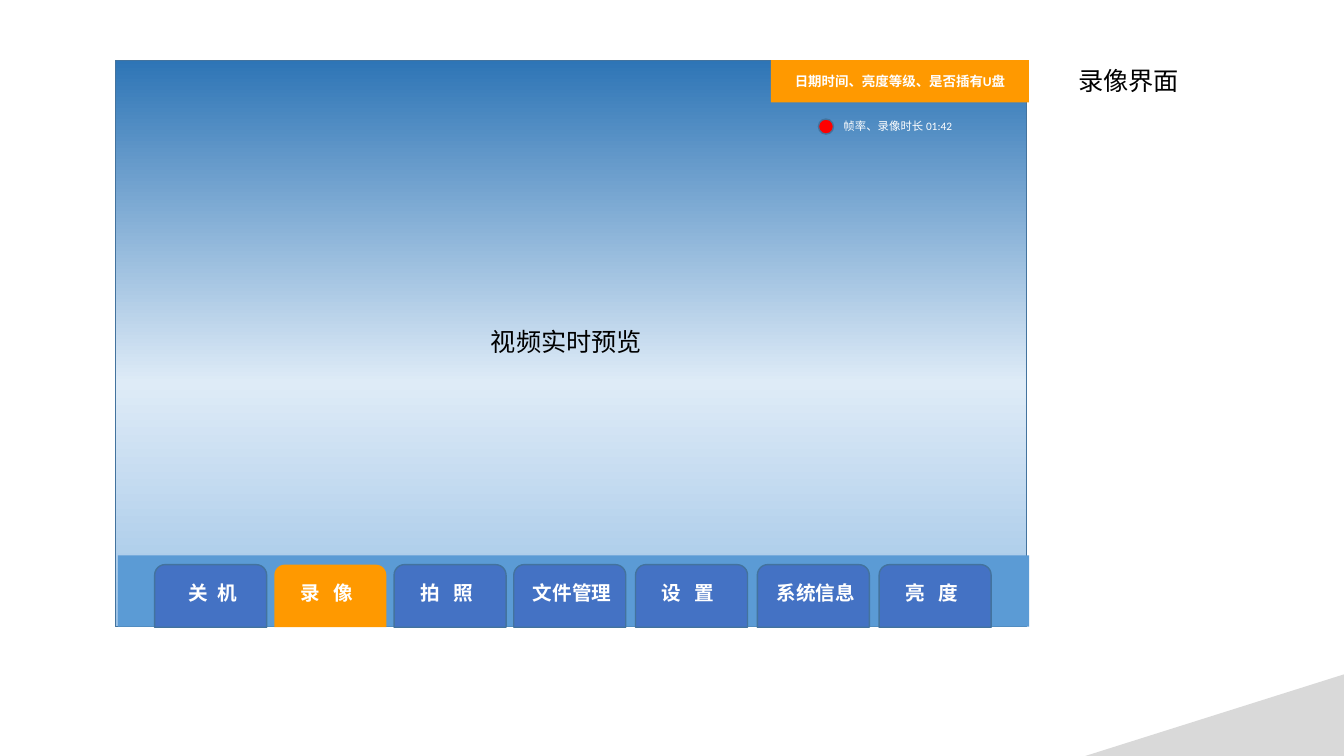
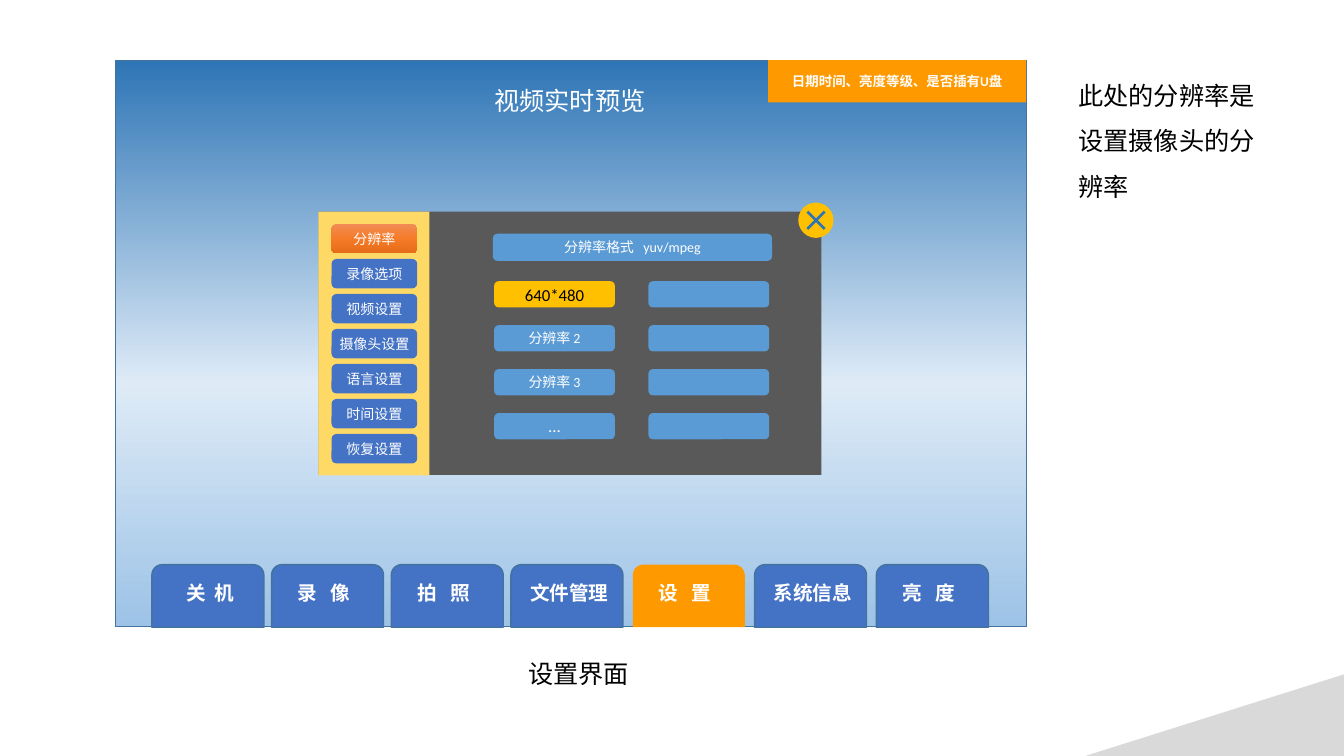
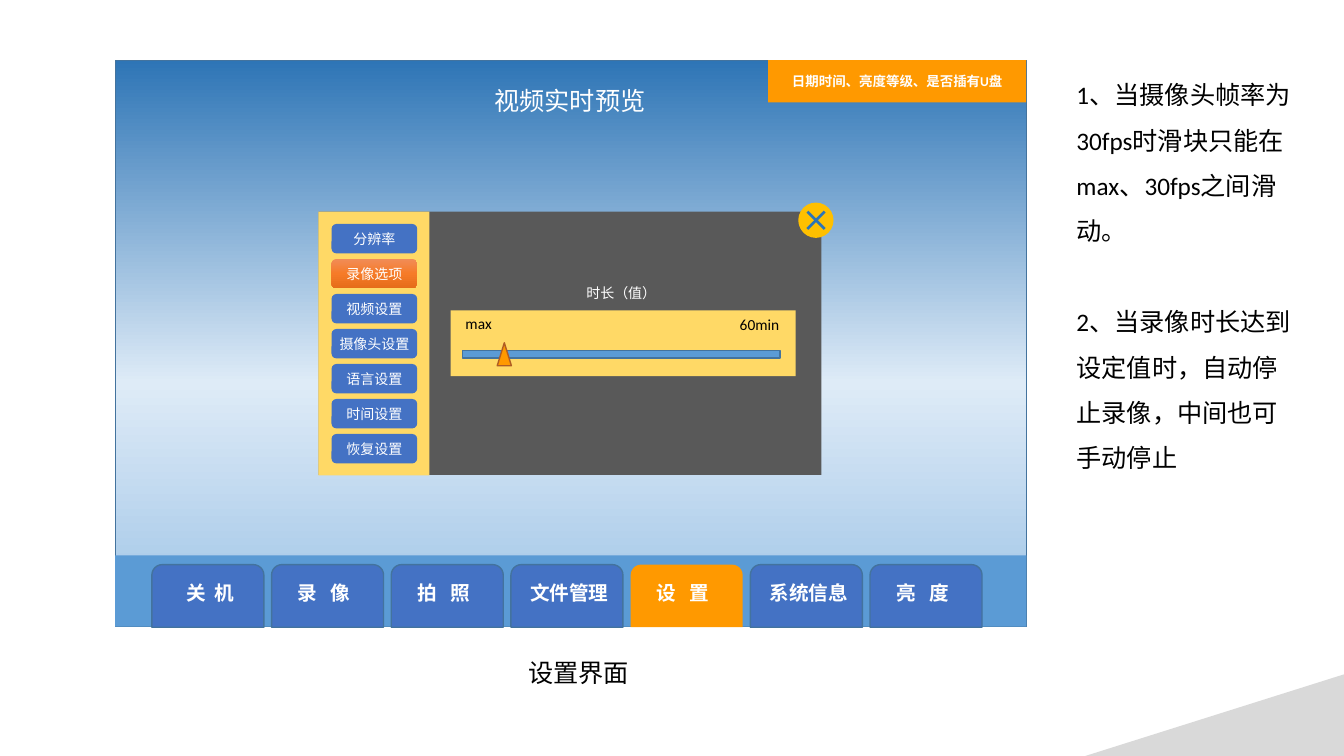
from copy import deepcopy

from pptx import Presentation
from pptx.dml.color import RGBColor
from pptx.enum import shapes, text
from pptx.oxml.ns import qn
from pptx.util import Pt

WHITE = RGBColor(0xFF, 0xFF, 0xFF)
BLACK = RGBColor(0, 0, 0)
RED = RGBColor(0xFF, 0, 0)
BAR_BLUE = RGBColor(0x5B, 0x9B, 0xD5)
TAB_BLUE = RGBColor(0x44, 0x72, 0xC4)
EDGE_BLUE = RGBColor(0x43, 0x73, 0x9E)
DEEP_BLUE = RGBColor(0x2E, 0x75, 0xB6)
ORANGE = RGBColor(0xFF, 0x99, 0x00)
BROWN = RGBColor(0xAF, 0x5C, 0x24)
GOLD = RGBColor(0xFF, 0xC0, 0x00)
PALE_GOLD = RGBColor(0xFF, 0xD9, 0x66)
DARK_GREY = RGBColor(0x59, 0x59, 0x59)
LIGHT_GREY = RGBColor(0xD9, 0xD9, 0xD9)
SKY = [(0, DEEP_BLUE), (0.57, RGBColor(0xDE, 0xEB, 0xF7)),
       (1, RGBColor(0x9D, 0xC3, 0xE6))]
GLOW = [(0, RGBColor(0xF1, 0x8C, 0x57)), (0.5, RGBColor(0xF6, 0x7B, 0x28)),
        (1, RGBColor(0xE5, 0x6C, 0x19))]

KIND = shapes.MSO_SHAPE
LEFT, CENTER = text.PP_ALIGN.LEFT, text.PP_ALIGN.CENTER


def place(parent, kind, box, fill, line=None):
    """Add a preset shape; fill is a colour or a list of three gradient stops."""
    shape = parent.add_shape(kind, *map(Pt, box))
    shape.shadow.inherit = False
    if isinstance(fill, list):
        shape.fill.gradient()
        shape.fill.gradient_angle = 270
        stop_list = shape._element.spPr.find(".//" + qn("a:gsLst"))
        stop_list.insert(1, deepcopy(stop_list[0]))
        for stop, (position, color) in zip(shape.fill.gradient_stops, fill):
            stop.position = position
            stop.color.rgb = color
    else:
        shape.fill.solid()
        shape.fill.fore_color.rgb = fill
    if line is None:
        shape.line.fill.background()
    else:
        shape.line.color.rgb = line
        shape.line.width = Pt(1)
    frame = shape.text_frame
    frame.margin_left = frame.margin_right = 0
    frame.margin_top = frame.margin_bottom = 0
    frame.vertical_anchor = text.MSO_ANCHOR.MIDDLE
    return shape


def write(shape, words, size, color, align=LEFT, bold=False, gap=0):
    """Write one paragraph; gap widens its first space by that many points."""
    frame = shape.text_frame
    frame.word_wrap = True
    paragraph = frame.paragraphs[0]
    if paragraph.runs:
        paragraph = frame.add_paragraph()
    paragraph.alignment = align
    for part in words.partition(" ") if gap else [words]:
        run = paragraph.add_run()
        run.text = part
        run.font.name = "Calibri"
        run.font.size = Pt(size)
        run.font.bold = bold
        run.font.color.rgb = color
        properties = run._r.get_or_add_rPr()
        properties.set("lang", "zh-CN")
        if gap and part == " ":
            properties.set("spc", str(round(gap * 100)))
    return paragraph


# Tab label, its inset from the tab's left edge, its widened space
TABS = [("关 机", 17.3, 3.2), ("录 像", 11.6, 6.3), ("拍 照", 11.6, 6.3),
        ("文件管理", 6.5, 0), ("设 置", 11.6, 6.3), ("系统信息", 6.5, 0),
        ("亮 度", 11.6, 6.3)]
TAB_WIDTH = 80
MENU = ["分辨率", "录像选项", "视频设置", "摄像头设置", "语言设置", "时间设置", "恢复设置"]

# Title and its place, preview place and colour, shift of the tabs,
# extra pitch of the later tabs, active tab, bottom bar, active menu entry
SCREENS = [
    ("录像界面", (763, 43), (343.5, 229.7), BLACK, 2, 1.5, "录 像", True, None),
    ("设置界面", (370, 466.5), (346, 57.6), WHITE, 0, 1.5, "设 置", False, "分辨率"),
    ("设置界面", (370, 466), (346, 57.6), WHITE, 0, 0, "设 置", True, "录像选项"),
]

deck = Presentation()
deck.slide_width, deck.slide_height = Pt(960), Pt(540)
slides = []

for (title, title_at, preview_at, preview_color, shift, late_pitch,
     active_tab, has_bar, active_entry) in SCREENS:
    slide = deck.slides.add_slide(deck.slide_layouts[5])
    slides.append(slide)
    canvas = slide.shapes

    heading = canvas.title
    heading.left, heading.top = map(Pt, title_at)
    heading.width, heading.height = Pt(89.3), Pt(29)
    heading.text_frame.auto_size = text.MSO_AUTO_SIZE.NONE
    heading.text_frame.vertical_anchor = text.MSO_ANCHOR.TOP
    write(heading, title, 18, BLACK)

    place(canvas, KIND.RECTANGLE, (82.4, 43, 651, 404.6), SKY, EDGE_BLUE)
    if has_bar:
        place(canvas, KIND.RECTANGLE, (82.2 + shift, 396.7, 651, 51), BAR_BLUE)
    preview = canvas.add_textbox(*map(Pt, (*preview_at, 130.3, 29)))
    write(preview, "视频实时预览", 18, preview_color)
    corner = place(canvas, KIND.RIGHT_TRIANGLE, (775.2, 481.7, 184.8, 58.3), LIGHT_GREY)
    corner._element.spPr.xfrm.set("flipH", "1")

    for index, (label, inset, gap) in enumerate(TABS):
        tab_left = 108.5 + shift + 85.5 * index + late_pitch * max(0, index - 3)
        active = label == active_tab
        place(canvas, KIND.ROUND_2_SAME_RECTANGLE, (tab_left, 403.3, TAB_WIDTH, 44.7),
              ORANGE if active else TAB_BLUE, None if active else EDGE_BLUE)
        caption = canvas.add_textbox(
            *map(Pt, (tab_left + inset, 411.5, TAB_WIDTH - inset, 27.4)))
        caption.text_frame.margin_right = 0
        write(caption, label, 14, WHITE, bold=True, gap=gap)

    status = place(canvas, KIND.RECTANGLE, (548.7 + shift, 43, 184.3, 30.2), ORANGE)
    write(status, "日期时间、亮度等级、是否插有U盘", 9.6, WHITE, CENTER, bold=True)

    if active_entry:
        place(canvas, KIND.RECTANGLE, (227.5, 151.2, 359.3, 188), DARK_GREY)
        place(canvas, KIND.RECTANGLE, (227.5, 151.2, 79.2, 188.4), PALE_GOLD)
        for index, entry in enumerate(MENU):
            button = place(canvas, KIND.ROUNDED_RECTANGLE,
                           (236.8, 160 + 25 * index, 61.2, 21),
                           GLOW if entry == active_entry else TAB_BLUE)
            write(button, entry, 10, WHITE, CENTER)
        close = canvas.add_group_shape().shapes
        place(close, KIND.OVAL, (570.2, 144.7, 25.2, 25.2), GOLD)
        cross = place(close, KIND.MATH_MULTIPLY, (571, 145.5, 23.8, 23.8), DEEP_BLUE)
        cross.adjustments[0] = 0.079

recording, resolution, duration = (slide.shapes for slide in slides)

# Recording screen: frame rate and elapsed time
elapsed = recording.add_textbox(*map(Pt, (595.4, 81.4, 113.8, 17.3)))
write(elapsed, "帧率、录像时长 01:42", 8.1, WHITE)
place(recording, KIND.OVAL, (584.6, 85, 10.8, 10.8), RED, EDGE_BLUE)

# Resolution settings: format header and two columns of choices
header = place(resolution, KIND.ROUNDED_RECTANGLE, (352.1, 167, 199.4, 19.4), BAR_BLUE)
write(header, "分辨率格式 yuv/mpeg", 10, WHITE, CENTER, gap=4.5)
CHOICES = [("640*480", 12, GOLD, BLACK), ("分辨率 2", 10, BAR_BLUE, WHITE),
           ("分辨率 3", 10, BAR_BLUE, WHITE), ("...", 12, BAR_BLUE, WHITE)]
for row, (choice, size, fill, color) in enumerate(CHOICES):
    row_top = 200.9 + 31.4 * row
    option = place(resolution, KIND.ROUNDED_RECTANGLE, (353, row_top, 86.2, 18.7), fill)
    write(option, choice, size, color, CENTER)
    place(resolution, KIND.ROUNDED_RECTANGLE, (463.2, row_top, 86.2, 18.7), BAR_BLUE)
remark = resolution.add_textbox(*map(Pt, (763.2, 43, 143.3, 126)))
write(remark, "此处的分辨率是设置摄像头的分辨率", 18, BLACK).line_spacing = 1.5

# Duration settings: slider between two limits
place(duration, KIND.RECTANGLE, (322, 221.7, 246.4, 46.9), PALE_GOLD)
LABELS = [("时长（值）", 10, WHITE, (411.8, 200, 75, 19.4)),
          ("max", 11, BLACK, (325.4, 221, 42.5, 21.6)),
          ("60min", 11, BLACK, (521.3, 221.8, 49, 20.9))]
for words, size, color, box in LABELS:
    write(duration.add_textbox(*map(Pt, box)), words, size, color)
place(duration, KIND.RECTANGLE, (330.3, 250.4, 226.8, 5.3), BAR_BLUE, EDGE_BLUE)
place(duration, KIND.ISOSCELES_TRIANGLE, (355.2, 244.8, 10.1, 16.4), ORANGE, BROWN)
rules = duration.add_textbox(*map(Pt, (761.8, 42.5, 170, 298.8)))
RULES = [("1、当摄像头帧率为30fps时滑块只能在max、30fps之间滑动。", 0),
         ("2、当录像时长达到设定值时，自动停止录像，中间也可手动停止", 32.5)]
for words, space_before in RULES:
    rule = write(rules, words, 18, BLACK)
    rule.line_spacing = 1.5
    rule.space_before = Pt(space_before)

deck.save("out.pptx")
